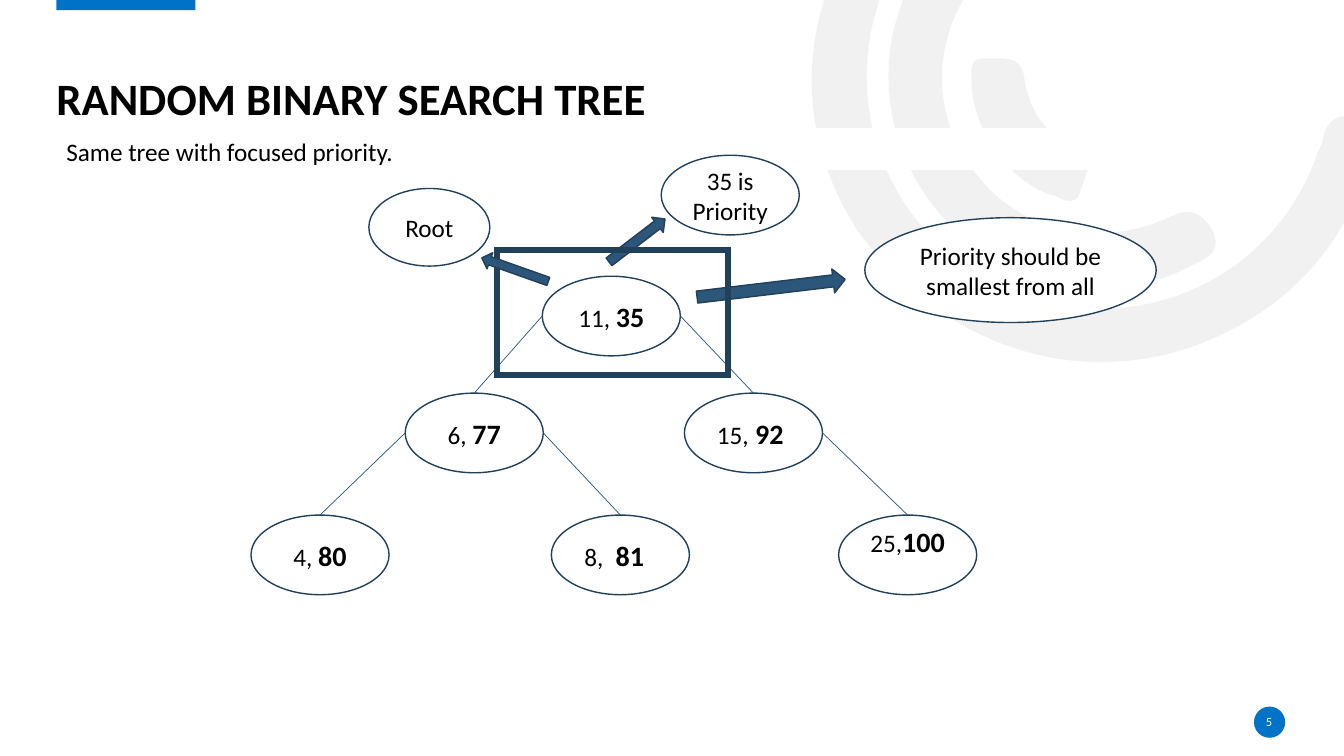
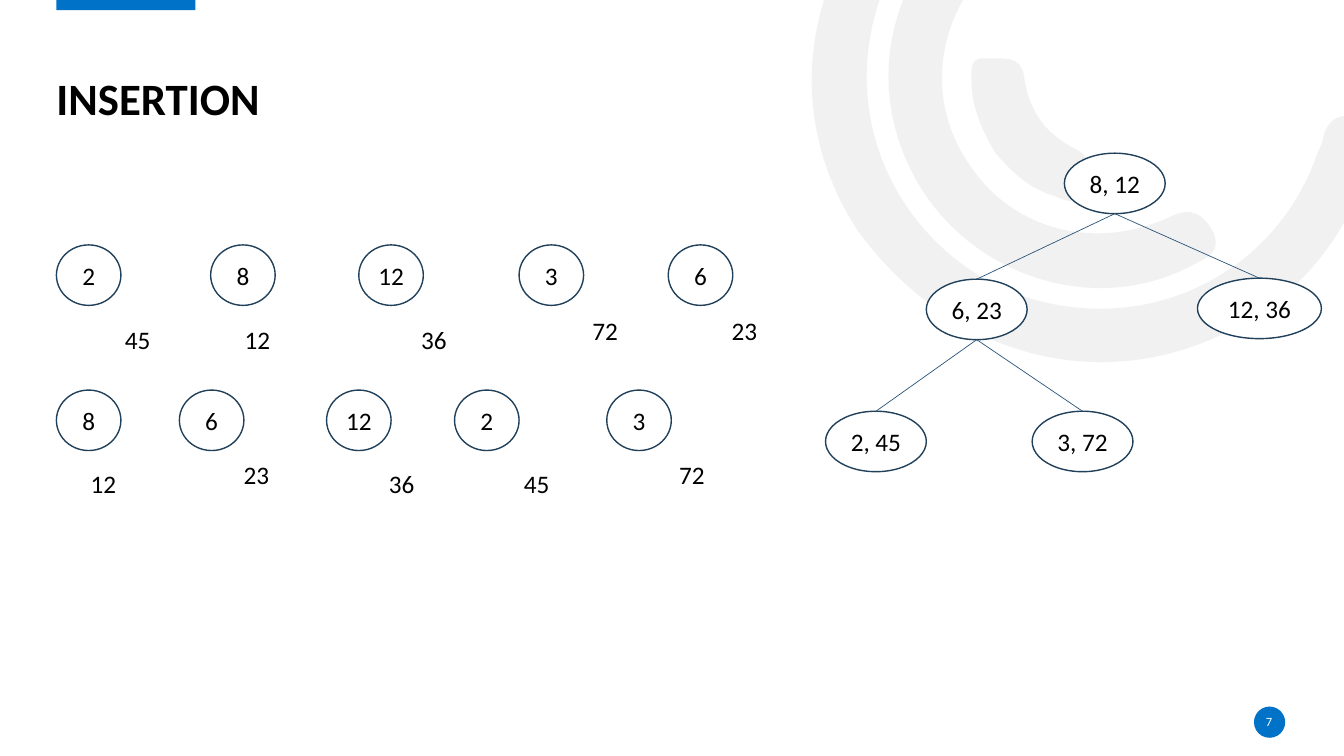
import collections

import lxml.etree
import pptx
import pptx.dml.color
import pptx.enum.shapes
import pptx.enum.text
import pptx.oxml.ns
import pptx.util

PX = 9144  # EMU in one px, 100 px to the inch
FONT = "Calibri"
COLOURS = {
    "accent": "0072C7",
    "ring": "E7E6E6",
    "outline": "21405A",
    "arrow": "2C567A",
    "text": "000000",
    "white": "FFFFFF",
}
RING_OPACITY = 53000
SHAPE = pptx.enum.shapes.MSO_SHAPE
ALIGN = pptx.enum.text.PP_ALIGN
ANCHOR = pptx.enum.text.MSO_ANCHOR
Box = collections.namedtuple("Box", "left top width height")

# Each ring: a start point, then three points for every Bezier curve
RINGS = [
    [(851, 229), (799, 149), (787, 50), (838, -50), (890, -152), (976, -203),
     (1090, -207), (1105, -207), (1121, -210), (1131, -195), (1144, -175),
     (1127, -154), (1098, -154), (967, -154), (865, -59), (860, 68),
     (856, 181), (936, 281), (1046, 302), (1160, 324), (1270, 261),
     (1307, 152), (1309, 148), (1311, 144), (1312, 140), (1316, 119),
     (1327, 111), (1349, 117), (1373, 124), (1367, 141), (1361, 156),
     (1334, 245), (1278, 307), (1191, 341), (1070, 387), (936, 345), (851, 229)],
    [(922, 199), (862, 115), (869, 7), (940, -68), (951, -79), (962, -95),
     (980, -78), (995, -64), (997, -50), (979, -32), (925, 26), (920, 108),
     (965, 168), (1008, 229), (1088, 249), (1161, 215), (1182, 205),
     (1193, 212), (1203, 229), (1213, 250), (1197, 256), (1183, 263),
     (1096, 310), (983, 282), (922, 199)],
    [(987, 151), (975, 130), (964, 107), (964, 82), (964, 73), (961, 57),
     (976, 58), (992, 59), (1013, 53), (1016, 76), (1021, 110), (1036, 132),
     (1067, 148), (1088, 157), (1076, 176), (1072, 189), (1068, 206),
     (1055, 198), (1045, 194), (1021, 187), (1003, 170), (987, 151)],
]


def px(length):
    return pptx.util.Emu(round(length * PX))


def colour(name):
    return pptx.dml.color.RGBColor.from_string(COLOURS[name])


def paint(shape, fill=None, line=None, weight=1):
    """Set fill and outline; None leaves a part empty."""
    shape.shadow.inherit = False
    if fill:
        shape.fill.solid()
        shape.fill.fore_color.rgb = colour(fill)
    else:
        shape.fill.background()
    if line:
        shape.line.color.rgb = colour(line)
        shape.line.width = pptx.util.Pt(weight)
    else:
        shape.line.fill.background()


def add_preset(page, kind, box, fill=None, line=None, weight=1):
    shape = page.shapes.add_shape(kind, *map(px, box))
    paint(shape, fill, line, weight)
    return shape


def style_span(span, size=18, bold=False, ink="text"):
    span.font.name = FONT
    span.font.size = pptx.util.Pt(size)
    span.font.bold = bold
    span.font.color.rgb = colour(ink)


def write(shape, text, strong="", align=ALIGN.CENTER, anchor=ANCHOR.MIDDLE, **style):
    """Write one paragraph, with an optional larger bold ending."""
    frame = shape.text_frame
    frame.word_wrap = True
    frame.vertical_anchor = anchor
    para = frame.paragraphs[0]
    para.text = text
    para.alignment = align
    style_span(para.runs[0], **style)
    if strong:
        span = para.add_run()
        span.text = strong
        style_span(span, size=20, bold=True)
    return para


def clear_margins(frame):
    frame.margin_left = frame.margin_right = frame.margin_top = frame.margin_bottom = 0


def add_label(page, box, text, **style):
    label = page.shapes.add_textbox(*map(px, box))
    write(label, text, **style)
    return label


def add_oval(page, box, text, strong=""):
    oval = add_preset(page, SHAPE.FLOWCHART_CONNECTOR, box, "white", "outline")
    write(oval, text, strong)
    return oval


def add_ring(page, points):
    """Build the outline from its points, then turn each three into a curve."""
    outline = [(px(x), px(y)) for x, y in points]
    builder = page.shapes.build_freeform(*outline[0])
    builder.add_line_segments(outline[1:], close=True)
    ring = builder.convert_to_shape()
    qn = pptx.oxml.ns.qn
    segments = ring._element.spPr.findall(".//" + qn("a:lnTo"))
    for i in range(0, len(points) - 1, 3):
        curve = lxml.etree.Element(qn("a:cubicBezTo"))
        segments[i].addprevious(curve)
        for segment in segments[i:i + 3]:
            curve.append(segment[0])
            segment.getparent().remove(segment)
    paint(ring, "ring")
    tint = ring._element.spPr.find(".//" + qn("a:srgbClr"))
    lxml.etree.SubElement(tint, qn("a:alpha"), val=str(RING_OPACITY))
    return ring


def decorate_layout(layout, page):
    """Draw the shared artwork on a page and move it to the layout."""
    for holder in list(layout.placeholders):
        if holder.placeholder_format.idx:
            holder._element.getparent().remove(holder._element)
    artwork = [add_ring(page, points) for points in RINGS]
    artwork.append(add_preset(page, SHAPE.RECTANGLE, Box(56, -2, 138, 12), "accent"))
    artwork.append(add_preset(page, SHAPE.OVAL, Box(1244, 701, 31, 31), "accent"))
    for shape in artwork:
        layout.shapes._spTree.append(shape._element)


def add_heading(page, text, number):
    """Title, page number and blank footer patch."""
    title = page.shapes.title
    title.left, title.top, title.width, title.height = map(px, Box(56, 64, 1219, 60))
    para = write(title, text, align=ALIGN.LEFT, anchor=ANCHOR.BOTTOM, size=32, bold=True)
    para.line_spacing = 0.9
    clear_margins(title.text_frame)
    label = add_label(page, Box(1243, 706, 32, 20), number, size=9, ink="white")
    clear_margins(label.text_frame)
    add_preset(page, SHAPE.RECTANGLE, Box(45, 679, 136, 71), "white", "white")


def add_tree(page, box, size, nodes, edges, from_sides):
    """Nodes: key, strong text, x, y and extra width; edges: parent, child, side."""
    ovals = {}
    for key, strong, x, y, extra in nodes:
        place = Box(box.left + x, box.top + y, size[0] + extra, size[1])
        ovals[key] = add_oval(page, place, key, strong)
    for parent, child, side in edges:
        start = ovals[parent]
        across, down = (side, 0.5) if from_sides else (0.5, 1)
        x = start.left + round(start.width * across)
        y = start.top + round(start.height * down)
        line = page.shapes.add_connector(
            pptx.enum.shapes.MSO_CONNECTOR.STRAIGHT, x, y, x, y)
        line.end_connect(ovals[child], 0)
        line.line.color.rgb = colour("arrow")
        line.line.width = pptx.util.Pt(0.5)
        lxml.etree.SubElement(line._element.spPr, pptx.oxml.ns.qn("a:effectLst"))
    return ovals


def add_callouts(page, box):
    """Frame around the root, with three notes and their arrows."""
    def add_note(text, x, y, width, height, arrow, angle):
        add_oval(page, Box(box.left + x, box.top + y, width, height), text)
        left, top, *size = arrow
        pointer = add_preset(page, SHAPE.RIGHT_ARROW,
                             Box(box.left + left, box.top + top, *size), "arrow", "outline")
        pointer.rotation = angle

    add_note("35 is Priority", 163, -94, 137, 79, (104, -19, 70, 19), 322.6)
    add_note("Priority should be smallest from all", 365, -32, 289, 104,
             (198, 26, 148, 24), 353.2)
    frame = add_preset(page, SHAPE.RECTANGLE, box, line="outline", weight=4.5)
    # Square corners
    lxml.etree.SubElement(frame.line._get_or_add_ln(), pptx.oxml.ns.qn("a:miter"), lim="800000")
    add_note("Root", -127, -61, 120, 77, (-17, 11, 70, 17), 199.5)


def add_key_row(page, box, entries):
    """Circled keys, each with its priority below; entries give x offsets."""
    for key, key_x, priority, priority_x, drop in entries:
        add_oval(page, Box(box.left + key_x, box.top, 64, box.height), key)
        add_label(page, Box(box.left + priority_x, box.top + drop, 64, 40), priority,
                  align=ALIGN.LEFT, anchor=ANCHOR.TOP)


def build_search_tree(page):
    add_heading(page, "RANDOM BINARY SEARCH TREE", "5")
    band = add_preset(page, SHAPE.RECTANGLE, Box(56, 128, 1219, 40), "white", "white")
    para = write(band, "Same tree with focused priority. ",
                 align=ALIGN.JUSTIFY, anchor=ANCHOR.TOP)
    para.line_spacing = 1.07
    nodes = [
        ("11, ", "35", 289, 0, 0),
        ("6, ", "77", 153, 116, 0),
        ("15,", " 92 ", 430, 116, 0),
        ("4, ", "80", 0, 237, 0),
        ("8, ", " 81", 298, 237, 0),
        ("25,", "100", 583, 237, 0),
    ]
    edges = [("11, ", "6, ", 0), ("11, ", "15,", 1), ("6, ", "4, ", 0),
             ("6, ", "8, ", 1), ("15,", "25,", 1)]
    ovals = add_tree(page, Box(249, 274, 720, 316), (137, 79), nodes, edges, True)
    ovals["25,"].text_frame.margin_bottom = px(31)  # raises the last label
    ovals["8, "].text_frame.margin_right = px(22)
    add_callouts(page, Box(493, 248, 229, 124))


def build_insertion(page):
    add_heading(page, "INSERTION", "7")
    # Keys as given, then sorted by priority
    add_key_row(page, Box(56, 243, 724, 60), [
        ("2", 0, "45", 58, 74), ("8", 153, "12", 177, 74), ("12", 300, "36", 352, 74),
        ("3", 459, "72", 522, 65), ("6", 607, "23", 660, 65)])
    add_key_row(page, Box(56, 387, 724, 60), [
        ("8", 0, "12", 24, 73), ("6", 122, "23", 176, 64), ("12", 268, "36", 320, 73),
        ("2", 395, "45", 454, 73), ("3", 546, "72", 608, 64)])
    nodes = [
        ("8, 12", "", 237, 0, 0),
        ("6, 23", "", 100, 125, 0),
        ("12, 36", "", 369, 124, 23),
        ("2, 45", "", 0, 256, 0),
        ("3, 72", "", 205, 256, 0),
    ]
    edges = [("8, 12", "6, 23", 0), ("8, 12", "12, 36", 1),
             ("6, 23", "2, 45", 0), ("6, 23", "3, 72", 1)]
    add_tree(page, Box(819, 152, 492, 316), (100, 60), nodes, edges, False)


def main():
    deck = pptx.Presentation()
    deck.slide_width, deck.slide_height = px(4000 / 3), px(750)  # 16:9
    layout = deck.slide_layouts.get_by_name("Title Only")
    pages = [deck.slides.add_slide(layout) for _ in range(2)]
    decorate_layout(layout, pages[0])
    build_search_tree(pages[0])
    build_insertion(pages[1])
    deck.save("out.pptx")


if __name__ == "__main__":
    main()
